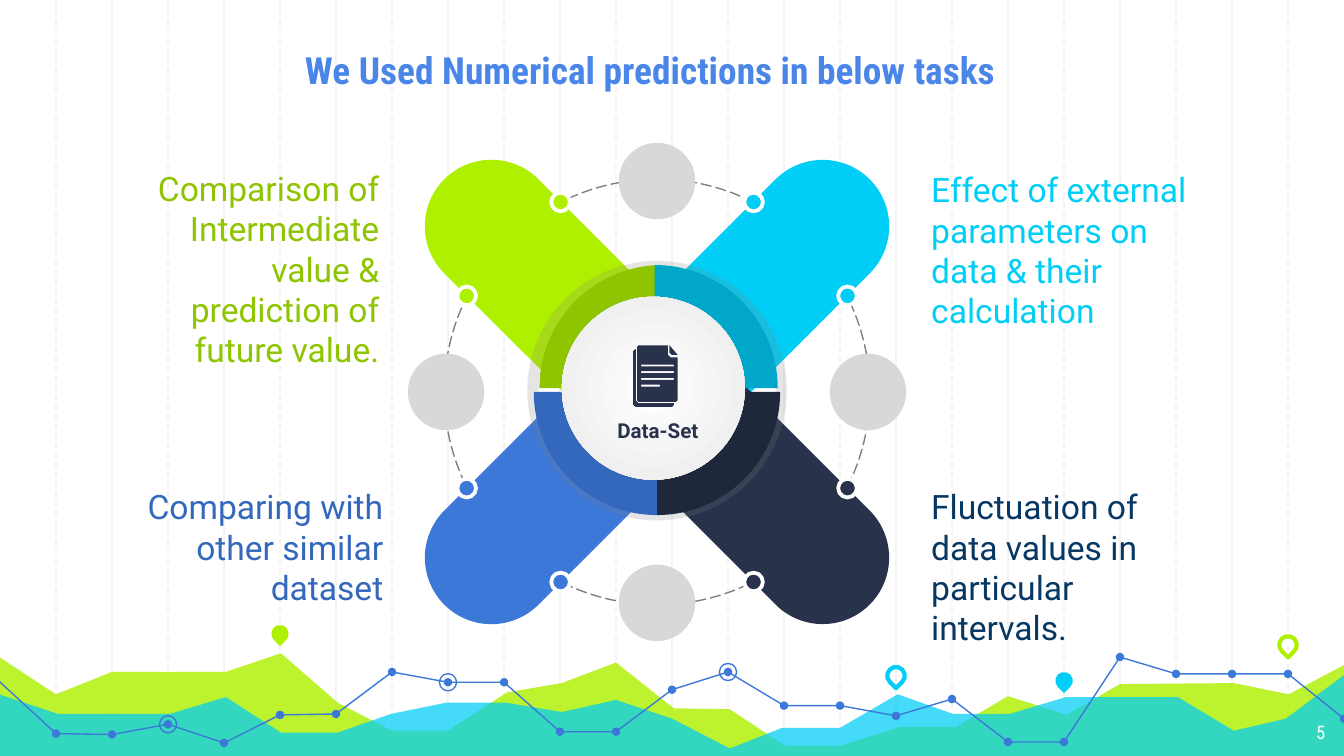
import math
from dataclasses import dataclass

from pptx import Presentation
from pptx import util as u
from pptx.dml import color as dml
from pptx.enum import dml as styles
from pptx.enum import shapes, text
from pptx.oxml import ns, parse_xml

COLORS = {
    "grid": "F3F3F3", "lime": "AFF000", "olive": "8EC400", "cyan": "00CEF6", "teal": "00A7C8",
    "blue": "3C78D8", "denim": "3468BC", "navy": "28324A", "ink": "1F273B", "deep": "073763",
    "title": "4A86E8", "gray": "7F7F7F", "silver": "D8D8D8", "mist": "EEEEEE", "white": "FFFFFF",
}
FORM = shapes.MSO_SHAPE
ALIGN = text.PP_ALIGN
STEP = 30
HUB_X, HUB_Y = 352, 210

LIME_AREA = [
    (-2, 351), (30, 372), (60, 360), (121, 360), (150.5, 350), (181, 376.5), (210, 391.5),
    (240, 391.5), (271.5, 371), (301, 366), (330, 355), (361, 379.5), (391, 380), (420.5, 399.5),
    (450.5, 399.5), (482, 389.5), (512, 389.5), (540, 373), (571.5, 383), (600, 366.5),
    (661, 366), (690.5, 372), (721.5, 355.5), (721, 406), (-2, 406),
]
CYAN_AREA = [
    (-2, 371.5), (31, 382.5), (91, 382.5), (121, 373.5), (150.5, 392.5), (181, 392.5),
    (209.5, 382.5), (239, 376.5), (271, 376.5), (301, 381.5), (330, 375), (360, 385), (391, 401),
    (419, 390), (450, 390), (481, 372), (510.5, 382.5), (541, 382.5), (571, 373.5),
    (631, 373.5), (661, 391.5), (689, 385), (721.5, 360.5), (721.5, 407), (-2, 407),
]
TREND_HEIGHTS = [
    393, 393.5, 388, 398, 383, 382.5, 360, 365.5, 365.5, 392, 392, 369.5,
    360, 378, 378, 383.5, 374.5, 397.5, 397.5, 352, 361, 361, 361, 385,
]
RINGED_POINTS = (8, 3, 13)
BACK_PAGE = [
    (339.2, 188), (340.6, 187), (340.6, 214.5), (342, 216), (361, 216),
    (361, 217), (360, 218), (340.6, 218), (339.2, 217),
]
FRONT_PAGE = [
    (341.3, 186), (342, 185), (357.8, 185), (357.8, 190), (359.3, 191.5),
    (363, 191.5), (363, 214.5), (362, 215.3), (342, 215.3), (341.3, 214.5),
]
PAGE_FOLD = [(358.6, 185), (358.6, 189), (359.8, 190.1), (363, 190.1)]


@dataclass
class Label:
    wording: str
    left: float
    top: float
    width: float
    height: float
    color: str
    size: float = 18
    font: str = "Roboto"
    align: ALIGN = ALIGN.LEFT
    bold: bool = False
    margin_x: float = 7.2
    margin_y: float = 3.6
    anchor: text.MSO_ANCHOR = text.MSO_ANCHOR.TOP


@dataclass
class Branch:
    side_x: int
    side_y: int
    color: str
    shade: str
    corner: tuple[float, float]
    label: Label


@dataclass
class Pin:
    x: float
    y: float
    color: str
    solid: bool


BRANCHES = [
    Branch(-1, -1, "lime", "olive", (355, 208), Label(
        "Comparison of Intermediate value & prediction of future value.",
        58.3, 86.4, 152, 114, "olive", align=ALIGN.RIGHT)),
    Branch(-1, 1, "blue", "denim", (352, 210), Label(
        "Comparing with other similar dataset", 60.5, 257, 152, 74, "denim", align=ALIGN.RIGHT)),
    Branch(1, -1, "cyan", "teal", (350.7, 208), Label(
        "Effect of external parameters on data & their calculation",
        491.8, 87.1, 152, 98, "cyan")),
    Branch(1, 1, "navy", "ink", (352, 210), Label(
        "Fluctuation of data values in particular intervals.", 491.8, 257, 152, 93, "deep")),
]
PINS = [Pin(150, 339.5, "lime", True), Pin(480, 362, "cyan", False),
        Pin(570, 364.7, "cyan", True), Pin(690, 345.5, "lime", False)]
CAPTIONS = [
    Label("We Used Numerical predictions in below tasks", 84.2, 0, 551, 74, "title", 20,
          "Roboto Condensed", bold=True, margin_x=79.2, margin_y=7.2,
          anchor=text.MSO_ANCHOR.MIDDLE),
    Label("5", 674, 380, 43, 25, "white", 10, "Roboto Condensed", ALIGN.RIGHT, margin_y=7.2),
    Label("Data-Set", 296, 217.5, 113, 45, "navy", 11, align=ALIGN.CENTER, bold=True,
          margin_y=7.2),
]


def rgb(name: str) -> dml.RGBColor:
    return dml.RGBColor.from_string(COLORS[name])


def paint(shape, fill: str = "", line: str = "", weight: float = 0.75, opacity: int = 100) -> None:
    shape.shadow.inherit = False
    if fill:
        shape.fill.solid()
        shape.fill.fore_color.rgb = rgb(fill)
    else:
        shape.fill.background()
    if line:
        shape.line.color.rgb = rgb(line)
        shape.line.width = u.Pt(weight)
    else:
        shape.line.fill.background()
    if opacity < 100:
        for tint in shape._element.spPr.iter(ns.qn("a:srgbClr")):
            tint.append(parse_xml(f'<a:alpha {ns.nsdecls("a")} val="{opacity * 1000}"/>'))


def add_centred(slide, form: FORM, x: float, y: float, width: float, height: float,
                turn: float = 0, **look):
    shape = slide.shapes.add_shape(
        form, u.Pt(x - width / 2), u.Pt(y - height / 2), u.Pt(width), u.Pt(height))
    shape.rotation = turn
    paint(shape, **look)
    return shape


def add_circle(slide, x: float, y: float, size: float, **look):
    return add_centred(slide, FORM.OVAL, x, y, size, size, **look)


def add_outline(slide, contours: list, closed: bool = True, **look) -> None:
    scaled = [[(u.Pt(x), u.Pt(y)) for x, y in contour] for contour in contours]
    builder = slide.shapes.build_freeform(*scaled[0][0])
    builder.add_line_segments(scaled[0][1:], close=closed)
    for contour in scaled[1:]:
        builder.move_to(*contour[0])
        builder.add_line_segments(contour[1:], close=closed)
    paint(builder.convert_to_shape(), **look)


def add_label(slide, label: Label) -> None:
    box = slide.shapes.add_textbox(
        u.Pt(label.left), u.Pt(label.top), u.Pt(label.width), u.Pt(label.height))
    frame = box.text_frame
    frame.word_wrap = True
    frame.vertical_anchor = label.anchor
    frame.margin_left = frame.margin_right = u.Pt(label.margin_x)
    frame.margin_top = frame.margin_bottom = u.Pt(label.margin_y)
    frame.text = label.wording
    paragraph = frame.paragraphs[0]
    paragraph.alignment = label.align
    font = paragraph.runs[0].font
    font.name, font.size, font.bold = label.font, u.Pt(label.size), label.bold
    font.color.rgb = rgb(label.color)


def draw_grid(slide) -> None:
    for first, dashed in ((2, False), (1, True)):
        for column in range(first, 24, 2):
            x = u.Pt(column * STEP)
            rule = slide.shapes.add_connector(
                shapes.MSO_CONNECTOR.STRAIGHT, x, u.Pt(0), x, u.Pt(407))
            rule.line.color.rgb = rgb("grid")
            rule.line.width = u.Pt(0.75)
            if dashed:
                rule.line.dash_style = styles.MSO_LINE.DASH
            rule._element.spPr.append(parse_xml(f'<a:effectLst {ns.nsdecls("a")}/>'))


def draw_landscape(slide) -> None:
    add_outline(slide, [LIME_AREA], fill="lime", opacity=82)
    add_outline(slide, [CYAN_AREA], fill="cyan", opacity=73)
    points = [(index * STEP, y) for index, y in enumerate(TREND_HEIGHTS, 1)]
    add_outline(slide, [[(-1, 364.5)] + points], closed=False, line="blue")
    for x, y in points:
        add_circle(slide, x, y, 4.5, fill="blue")
    for index in RINGED_POINTS:
        add_circle(slide, *points[index - 1], 9.2, line="blue")
    for pin in PINS:
        look = {"fill": pin.color} if pin.solid else {"line": pin.color, "weight": 2.25}
        add_centred(slide, FORM.TEAR, pin.x, pin.y, 9.4, 9.4, 135, **look)


def draw_wheel(slide) -> None:
    orbit = add_circle(slide, HUB_X, HUB_Y, 228, line="gray")
    orbit.line.dash_style = styles.MSO_LINE.LONG_DASH
    for branch in BRANCHES:
        turn = 45 if branch.side_x == branch.side_y else 315
        arm = add_centred(slide, FORM.ROUNDED_RECTANGLE, HUB_X + 45 * branch.side_x,
                          HUB_Y + 45 * branch.side_y, 195, 71.3, turn, fill=branch.color)
        arm.adjustments[0] = 0.5
    add_circle(slide, HUB_X, 209.3, 133, line="gray", weight=6, opacity=20)
    for branch in BRANCHES:
        x, y = branch.corner
        arc = [(x + branch.side_x * 66 * math.cos(math.radians(angle)),
                y + branch.side_y * 66 * math.sin(math.radians(angle)))
               for angle in range(0, 91, 3)]
        add_outline(slide, [[branch.corner] + arc], fill=branch.shade)
    core = add_circle(slide, 350, 208, 98, fill="white")
    stops = "".join(f'<a:gs pos="{place * 1000}"><a:srgbClr val="{COLORS[name]}"/></a:gs>'
                    for place, name in ((0, "white"), (81, "mist"), (100, "silver")))
    solid = core._element.spPr.find(ns.qn("a:solidFill"))
    solid.getparent().replace(solid, parse_xml(
        f'<a:gradFill {ns.nsdecls("a")}><a:gsLst>{stops}</a:gsLst><a:path path="circle">'
        '<a:fillToRect l="50000" t="50000" r="50000" b="50000"/></a:path></a:gradFill>'))
    for branch in BRANCHES:
        for across, down in ((51.7, 101.8), (102, 51.5)):
            add_circle(slide, HUB_X + across * branch.side_x, HUB_Y + down * branch.side_y, 10,
                       fill=branch.color, line="white", weight=2)
    for across, down in ((1, 0), (-1, 0), (0, -1), (0, 1)):
        add_circle(slide, HUB_X + 113 * across, HUB_Y + 113 * down, 41, fill="silver")


def draw_document(slide) -> None:
    rows = []
    for row, right in enumerate((361, 361, 361, 353.5)):
        top = 195.3 + 3.6 * row
        rows.append([(343.5, top), (343.5, top + 1), (right, top + 1), (right, top)])
    for contours in ([BACK_PAGE], [FRONT_PAGE] + rows, [PAGE_FOLD]):
        add_outline(slide, contours, fill="navy")


def main() -> None:
    presentation = Presentation()
    presentation.slide_width, presentation.slide_height = u.Pt(720), u.Pt(405)
    slide = presentation.slides.add_slide(presentation.slide_layouts[6])
    draw_grid(slide)
    draw_landscape(slide)
    draw_wheel(slide)
    draw_document(slide)
    for label in [branch.label for branch in BRANCHES] + CAPTIONS:
        add_label(slide, label)
    presentation.save("out.pptx")


if __name__ == "__main__":
    main()
